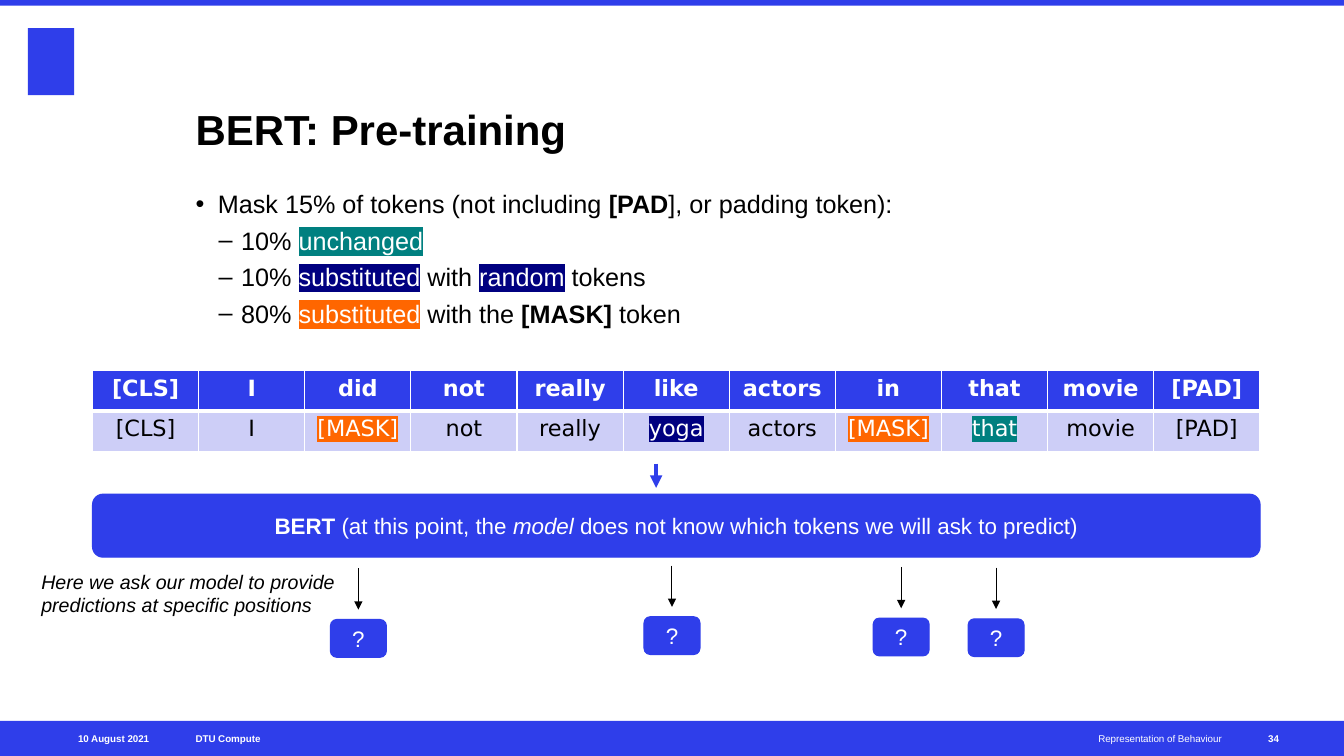
"""Build the BERT pre-training slide."""
import dataclasses

import lxml.etree
import pptx
import pptx.dml.color
import pptx.enum.shapes
import pptx.enum.text
import pptx.oxml
import pptx.oxml.ns
import pptx.util

Pt = pptx.util.Pt
ALIGN = pptx.enum.text.PP_ALIGN
ANCHOR = pptx.enum.text.MSO_ANCHOR
SHAPE = pptx.enum.shapes.MSO_SHAPE


@dataclasses.dataclass(frozen=True)
class Theme:
    """Colours, fonts and type sizes of the slide."""
    blue: str = "2F3EEA"
    pale: str = "CDCEF7"
    white: str = "FFFFFF"
    black: str = "000000"
    unchanged: str = "008080"
    random: str = "000080"
    mask: str = "FF6600"
    font: str = "Arial"
    table_font: str = "DejaVu Sans"
    title: float = 30
    body: float = 18
    label: float = 16
    caption: float = 14
    footer: float = 7


THEME = Theme()

TITLE = "BERT: Pre-training"
BULLETS = [
    (0, [("Mask 15% of tokens (not including ", ""), ("[PAD", "bold"),
         ("], or padding token):", "")]),
    (1, [("10% ", ""), ("unchanged", "unchanged")]),
    (1, [("10% ", ""), ("substituted", "random"), (" with ", ""),
         ("random", "random"), (" tokens", "")]),
    (1, [("80% ", ""), ("substituted", "mask"), (" with the ", ""),
         ("[MASK] ", "bold"), ("token", "")]),
]
BULLET_LEVELS = [("•", 16), ("–", 32.5)]
BULLET_HANG = 16
TOKENS = ["[CLS]", "I", "did", "not", "really", "like", "actors", "in",
          "that", "movie", "[PAD]"]
CHANGES = {2: ("[MASK]", "mask"), 5: ("yoga", "random"),
           7: ("[MASK]", "mask"), 8: ("that", "unchanged")}
MODEL = [("BERT", "bold"), (" (at this point, the ", ""), ("model", "italic"),
         (" does not know which tokens we will ask to predict)", "")]
CAPTION = "Here we ask our model to provide predictions at specific positions"
PREDICTIONS = [(256, 406), (480, 404), (643.7, 405), (711.5, 405.5)]
FOOTERS = [
    ("DTU Compute", "bold", 139.7, 268, ALIGN.LEFT),
    ("10 August 2021", "bold", 19.4, 87.2, ALIGN.RIGHT),
    ("Representation of Behaviour", "", 440, 432.7, ALIGN.RIGHT),
    ("34", "bold", 905.8, 34, ALIGN.LEFT),
]
SLIDE_WIDTH, SLIDE_HEIGHT = 960, 540
FOOTER_HEIGHT = 25
TEXT_LEFT, TEXT_WIDTH = 139.7, 733
BAND_LEFT, BAND_WIDTH = 66.1, 834
TABLE_TOP, ROW_HEIGHT = 264.5, 29.2
ARROW_LENGTH, BOX_DROP, BOX_WIDTH, BOX_HEIGHT = 29.5, 36.5, 40, 27


def rgb(colour):
    """Return a colour object for a hex string."""
    return pptx.dml.color.RGBColor.from_string(colour)


def add_solid(parent, tag, colour):
    """Append an element holding one plain colour."""
    element = lxml.etree.SubElement(parent, pptx.oxml.ns.qn(tag))
    lxml.etree.SubElement(element, pptx.oxml.ns.qn("a:srgbClr"), val=colour)
    return element


def add_runs(paragraph, runs, size, colour=THEME.black, font=THEME.font):
    """Write runs marked as bold, italic or highlighted."""
    for text, mark in runs:
        run = paragraph.add_run()
        run.text = text
        highlight = getattr(THEME, mark) if mark in ("unchanged", "random", "mask") else None
        run.font.size = Pt(size)
        run.font.bold = mark == "bold"
        run.font.italic = mark == "italic"
        run.font.color.rgb = rgb(THEME.white if highlight else colour)
        if highlight:
            properties = run._r.get_or_add_rPr()
            add_solid(properties, "a:highlight", highlight)
        run.font.name = font


def prepare_frame(shape, anchor, margin=0):
    """Set wrapping, anchor and insets, and return the first paragraph."""
    frame = shape.text_frame
    frame.word_wrap = True
    frame.auto_size = pptx.enum.text.MSO_AUTO_SIZE.NONE
    frame.vertical_anchor = anchor
    frame.margin_left = frame.margin_right = Pt(margin)
    frame.margin_top = frame.margin_bottom = Pt(margin / 2)
    return frame.paragraphs[0]


def add_box(slide, kind, left, top, width, height, runs=()):
    """Add a blue shape with optional centred white text."""
    shape = slide.shapes.add_shape(kind, Pt(left), Pt(top), Pt(width), Pt(height))
    shape.shadow.inherit = False
    shape.fill.solid()
    shape.fill.fore_color.rgb = rgb(THEME.blue)
    if runs:
        shape.line.color.rgb = rgb(THEME.blue)
        shape.line.width = Pt(0.75)
        paragraph = prepare_frame(shape, ANCHOR.MIDDLE, 7.2)
        paragraph.alignment = ALIGN.CENTER
        add_runs(paragraph, runs, THEME.label, THEME.white)
    else:
        shape.line.fill.background()


def add_text(slide, left, top, width, height, anchor=ANCHOR.TOP):
    """Add a text box and return its first paragraph."""
    shape = slide.shapes.add_textbox(Pt(left), Pt(top), Pt(width), Pt(height))
    return prepare_frame(shape, anchor)


def add_arrow(slide, x, top, length, colour, width):
    """Add an arrow pointing straight down."""
    arrow = slide.shapes.add_connector(
        pptx.enum.shapes.MSO_CONNECTOR.STRAIGHT, Pt(x), Pt(top), Pt(x), Pt(top + length))
    arrow.line.color.rgb = rgb(colour)
    arrow.line.width = Pt(width)
    line = arrow.line._get_or_add_ln()
    lxml.etree.SubElement(line, pptx.oxml.ns.qn("a:tailEnd"), type="triangle")
    lxml.etree.SubElement(arrow._element.spPr, pptx.oxml.ns.qn("a:effectLst"))


def add_bullets(slide):
    """Add the list of masking rules."""
    first = paragraph = add_text(slide, TEXT_LEFT, 134.6, TEXT_WIDTH, 106)
    frame = slide.shapes[-1].text_frame
    for level, runs in BULLETS:
        if runs is not BULLETS[0][1]:
            paragraph = frame.add_paragraph()
        character, indent = BULLET_LEVELS[level]
        properties = paragraph._p.get_or_add_pPr()
        properties.set("marL", str(Pt(indent)))
        properties.set("indent", str(-Pt(BULLET_HANG)))
        lxml.etree.SubElement(properties, pptx.oxml.ns.qn("a:buFont"), typeface=THEME.font)
        lxml.etree.SubElement(properties, pptx.oxml.ns.qn("a:buChar"), char=character)
        paragraph.level = level
        if paragraph is not first:
            paragraph.space_before = Pt(4.5)
        add_runs(paragraph, runs, THEME.body)


def add_tokens(slide):
    """Add the table of tokens before and after masking."""
    changed = [CHANGES.get(index, (token, "")) for index, token in enumerate(TOKENS)]
    rows = [([(token, "bold") for token in TOKENS], THEME.blue, THEME.white),
            (changed, THEME.pale, THEME.black)]
    table = slide.shapes.add_table(
        len(rows), len(TOKENS), Pt(BAND_LEFT), Pt(TABLE_TOP),
        Pt(BAND_WIDTH), Pt(ROW_HEIGHT * len(rows))).table
    table.horz_banding = False
    for column in table.columns:
        column.width = Pt(BAND_WIDTH / len(TOKENS))
    for row_index, (tokens, fill, colour) in enumerate(rows):
        table.rows[row_index].height = Pt(ROW_HEIGHT)
        for column_index, token in enumerate(tokens):
            cell = table.cell(row_index, column_index)
            properties = cell._tc.get_or_add_tcPr()
            for side in "LRTB":
                width = 3 if (row_index, side) in ((0, "B"), (1, "T")) else 1
                border = add_solid(properties, f"a:ln{side}", THEME.white)
                border.set("w", str(Pt(width)))
                solid = lxml.etree.SubElement(border, pptx.oxml.ns.qn("a:solidFill"))
                solid.append(border[0])
            cell.fill.solid()
            cell.fill.fore_color.rgb = rgb(fill)
            paragraph = cell.text_frame.paragraphs[0]
            paragraph.alignment = ALIGN.CENTER
            add_runs(paragraph, [token], THEME.label, colour, THEME.table_font)


def main():
    """Compose and save the slide."""
    presentation = pptx.Presentation()
    presentation.slide_width, presentation.slide_height = Pt(SLIDE_WIDTH), Pt(SLIDE_HEIGHT)
    slide = presentation.slides.add_slide(presentation.slide_layouts[5])
    footer_top = SLIDE_HEIGHT - FOOTER_HEIGHT
    add_box(slide, SHAPE.RECTANGLE, 0, footer_top, SLIDE_WIDTH, FOOTER_HEIGHT)
    add_box(slide, SHAPE.RECTANGLE, 0, 0, SLIDE_WIDTH, 4)
    add_box(slide, SHAPE.RECTANGLE, 20, 20, 33, 48)
    for text, mark, left, width, alignment in FOOTERS:
        paragraph = add_text(slide, left, footer_top, width, FOOTER_HEIGHT, ANCHOR.MIDDLE)
        paragraph.alignment = alignment
        add_runs(paragraph, [(text, mark)], THEME.footer, THEME.white)
    title = slide.shapes.title
    title.left, title.top = Pt(TEXT_LEFT), Pt(34)
    title.width, title.height = Pt(TEXT_WIDTH), Pt(76.3)
    paragraph = prepare_frame(title, ANCHOR.BOTTOM)
    paragraph.alignment = ALIGN.LEFT
    add_runs(paragraph, [(TITLE, "bold")], THEME.title)
    add_bullets(slide)
    add_tokens(slide)
    add_box(slide, SHAPE.ROUNDED_RECTANGLE, BAND_LEFT, 353, BAND_WIDTH, 45, MODEL)
    add_arrow(slide, 468.7, 331.2, 17.3, THEME.blue, 3)
    for x, top in PREDICTIONS:
        add_arrow(slide, x, top, ARROW_LENGTH, THEME.black, 0.75)
        add_box(slide, SHAPE.ROUNDED_RECTANGLE, x - BOX_WIDTH / 2, top + BOX_DROP,
                BOX_WIDTH, BOX_HEIGHT, [("?", "")])
    paragraph = add_text(slide, 29.5, 406.8, 247, 34)
    add_runs(paragraph, [(CAPTION, "italic")], THEME.caption)
    presentation.save("out.pptx")


if __name__ == "__main__":
    main()
